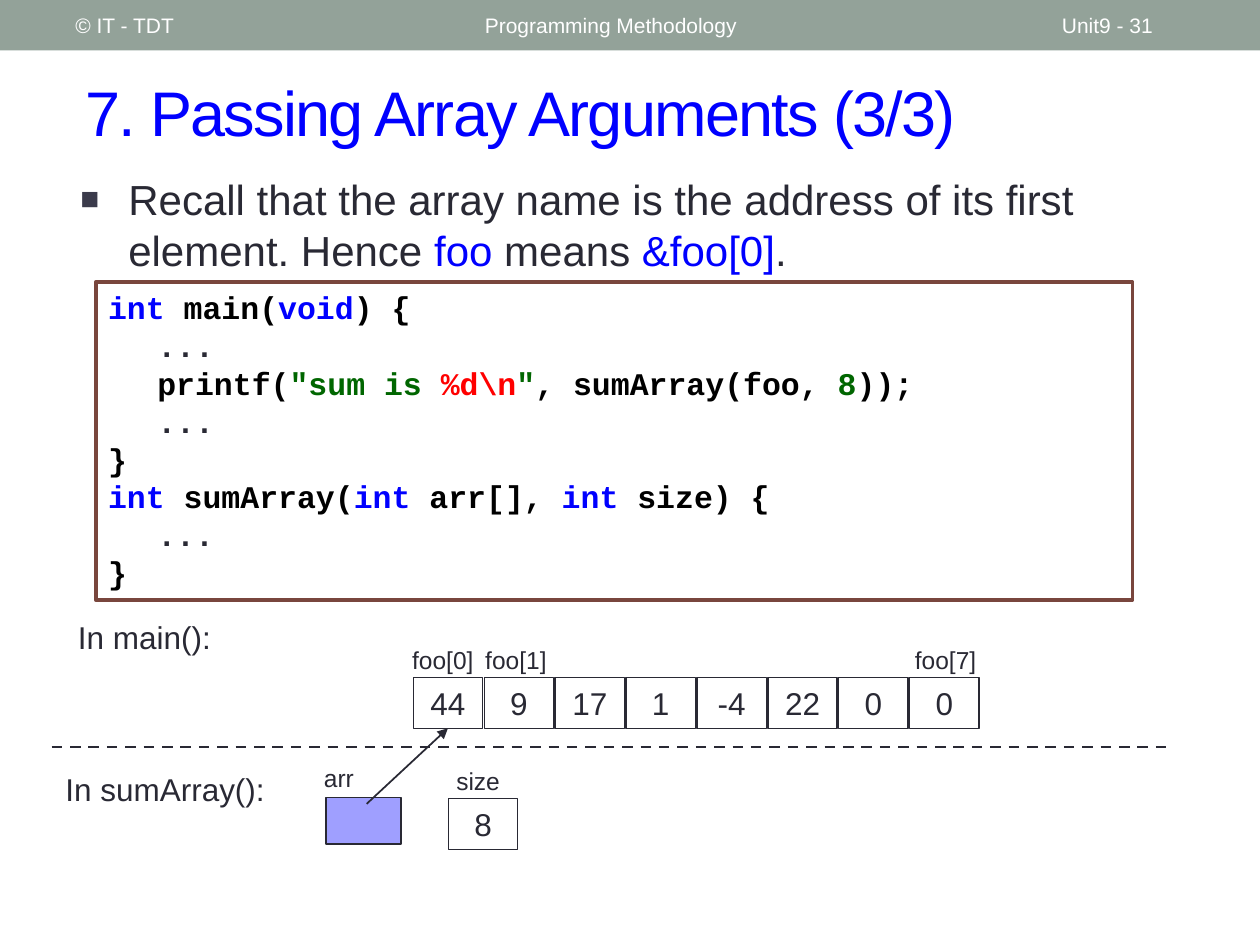
from lxml import etree
from pptx import Presentation
from pptx.dml.color import RGBColor
from pptx.enum import dml, shapes, text
from pptx.oxml import ns
from pptx.util import Inches, Pt

BLUE = RGBColor(0x00, 0x00, 0xFF)
INK = RGBColor(0x29, 0x29, 0x34)
BLACK = RGBColor(0x00, 0x00, 0x00)
WHITE = RGBColor(0xFF, 0xFF, 0xFF)
GREEN = RGBColor(0x00, 0x66, 0x00)
RED = RGBColor(0xFF, 0x00, 0x00)
SAGE = RGBColor(0x93, 0xA2, 0x99)
BROWN = RGBColor(0x79, 0x46, 0x3D)
LILAC = RGBColor(0x9F, 0x9F, 0xFF)
SLATE = RGBColor(0x3B, 0x3B, 0x4B)

LEFT, MID = text.PP_ALIGN.LEFT, text.PP_ALIGN.CENTER
TOP, CENTER = text.MSO_ANCHOR.TOP, text.MSO_ANCHOR.MIDDLE

CODE = [
    [("int", BLUE), (" main(", BLACK), ("void", BLUE), (") {", BLACK)],
    [("\t...", INK)],
    [("\tprintf(", BLACK), ('"sum is ', GREEN), ("%d\\n", RED), ('"', GREEN),
     (", sumArray(foo, ", BLACK), ("8", GREEN), ("));", BLACK)],
    [("\t...", INK)],
    [("}", BLACK)],
    [("int ", BLUE), ("sumArray(", BLACK), ("int ", BLUE), ("arr[], ", BLACK),
     ("int", BLUE), (" size) {", BLACK)],
    [("\t...", INK)],
    [("}", BLACK)],
]
VALUES = [44, 9, 17, 1, -4, 22, 0, 0]


def add_node(parent, tag, **attrs):
    node = etree.SubElement(parent, ns.qn(tag))
    for key, value in attrs.items():
        node.set(key, str(value))
    return node


def set_font(font, size, color=None, name="Arial", bold=False):
    font.name, font.size, font.bold = name, Pt(size), bold
    if color is not None:
        font.color.rgb = color


def add_runs(para, parts):
    for words, color in parts:
        run = para.add_run()
        run.text = words
        run.font.color.rgb = color


def write(shape, words, size, color=INK, align=LEFT, anchor=TOP, wrap=True):
    frame = shape.text_frame
    frame.word_wrap, frame.vertical_anchor = wrap, anchor
    para = frame.paragraphs[0]
    para.alignment = align
    para.add_run().text = words
    set_font(para.font, size, color)
    return para


def add_label(slide, box, words, size, **style):
    shape = slide.shapes.add_textbox(*map(Inches, box))
    return write(shape, words, size, **style)


def add_box(slide, box, fill, line=None, width=0.75):
    shape = slide.shapes.add_shape(shapes.MSO_SHAPE.RECTANGLE, *map(Inches, box))
    shape.shadow.inherit = False
    shape.fill.solid()
    shape.fill.fore_color.rgb = fill
    if line is None:
        shape.line.fill.background()
    else:
        shape.line.color.rgb = line
        shape.line.width = Pt(width)
    return shape


def add_cell(slide, left, top, value):
    cell = add_box(slide, (left, top, 0.55, 0.4), WHITE, INK)
    write(cell, str(value), 18, align=MID)
    return cell


def add_line(slide, start, end, width):
    line = slide.shapes.add_connector(
        shapes.MSO_CONNECTOR.STRAIGHT, *map(Inches, start + end))
    line.line.color.rgb = INK
    line.line.width = Pt(width)
    add_node(line._element.spPr, "a:effectLst")
    return line


def add_header(slide):
    add_box(slide, (0, 0, 10, 0.4), SAGE)
    for left, width, words in [(0.5, 3.17, "© IT - TDT"),
                               (3.75, 4.5, "Programming Methodology"),
                               (8.33, 1.17, "Unit9 - 31")]:
        add_label(slide, (left, 0.02, width, 0.36), words, 12,
                  color=WHITE, anchor=CENTER)


def add_title(slide):
    para = add_label(slide, (0.58, 0.42, 9.17, 0.92),
                     "7. Passing Array Arguments (3/3)", 36,
                     color=BLUE, anchor=CENTER)
    para.runs[0]._r.get_or_add_rPr().set("spc", "-100")


def add_bullet(slide):
    box = slide.shapes.add_textbox(*map(Inches, (0.54, 1.33, 8.89, 0.91)))
    box.text_frame.word_wrap = True
    para = box.text_frame.paragraphs[0]
    props = para._p.get_or_add_pPr()
    props.set("marL", str(Inches(0.38)))
    props.set("indent", str(Inches(-0.38)))
    add_node(add_node(props, "a:buClr"), "a:srgbClr", val=SLATE)
    add_node(props, "a:buSzPct", val=75000)
    add_node(props, "a:buFont", typeface="Arial")
    add_node(props, "a:buChar", char="■")
    set_font(para.font, 24)
    add_runs(para, [
        ("Recall that the array name is the address of its first element. Hence ", INK),
        ("foo", BLUE), (" means ", INK), ("&foo[0]", BLUE), (".", INK)])


def add_code(slide):
    box = add_box(slide, (0.76, 2.24, 8.23, 2.52), WHITE, BROWN, 2.08)
    frame = box.text_frame
    frame.word_wrap, frame.vertical_anchor = True, TOP
    for row, parts in enumerate(CODE):
        para = frame.add_paragraph() if row else frame.paragraphs[0]
        para.alignment = LEFT
        tabs = add_node(para._p.get_or_add_pPr(), "a:tabLst")
        for stop in (0.39, 0.79):
            add_node(tabs, "a:tab", pos=Inches(stop), algn="l")
        set_font(para.font, 18, name="Courier New", bold=True)
        add_runs(para, parts)


def add_array(slide):
    add_label(slide, (0.52, 4.86, 1.41, 0.4), "In main():", 18)
    for left, width, words in [(3.15, 0.73, "foo[0]"), (3.75, 0.69, "foo[1]"),
                               (7.11, 0.79, "foo[7]")]:
        add_label(slide, (left, 5.07, width, 0.34), words, 14,
                  align=MID, wrap=False)
    pitch = (7.22 - 3.28) / (len(VALUES) - 1)
    cells = [add_cell(slide, 3.28 + i * pitch, 5.38, value)
             for i, value in enumerate(VALUES)]
    return cells[0]


def add_params(slide, first):
    add_label(slide, (0.42, 6.06, 1.81, 0.4), "In sumArray():", 18)
    add_label(slide, (2.42, 6.01, 0.54, 0.34), "arr", 14, align=MID, wrap=False)
    add_box(slide, (2.59, 6.33, 0.59, 0.37), LILAC, INK, 1)
    arrow = add_line(slide, (2.91, 6.38), (3.56, 5.78), 1)
    arrow.end_connect(first, 2)
    add_node(arrow.line._get_or_add_ln(), "a:tailEnd", type="triangle")
    add_label(slide, (3.43, 6.03, 0.73, 0.34), "size", 14, align=MID, wrap=False)
    add_cell(slide, 3.56, 6.34, 8)


def main():
    deck = Presentation()
    deck.slide_width, deck.slide_height = Inches(10), Inches(7.5)
    slide = deck.slides.add_slide(deck.slide_layouts[6])
    add_header(slide)
    add_title(slide)
    add_bullet(slide)
    add_code(slide)
    first = add_array(slide)
    add_params(slide, first)
    split = add_line(slide, (0.41, 5.93), (9.27, 5.93), 1.5)
    split.line.dash_style = dml.MSO_LINE.DASH
    deck.save("out.pptx")


if __name__ == "__main__":
    main()
